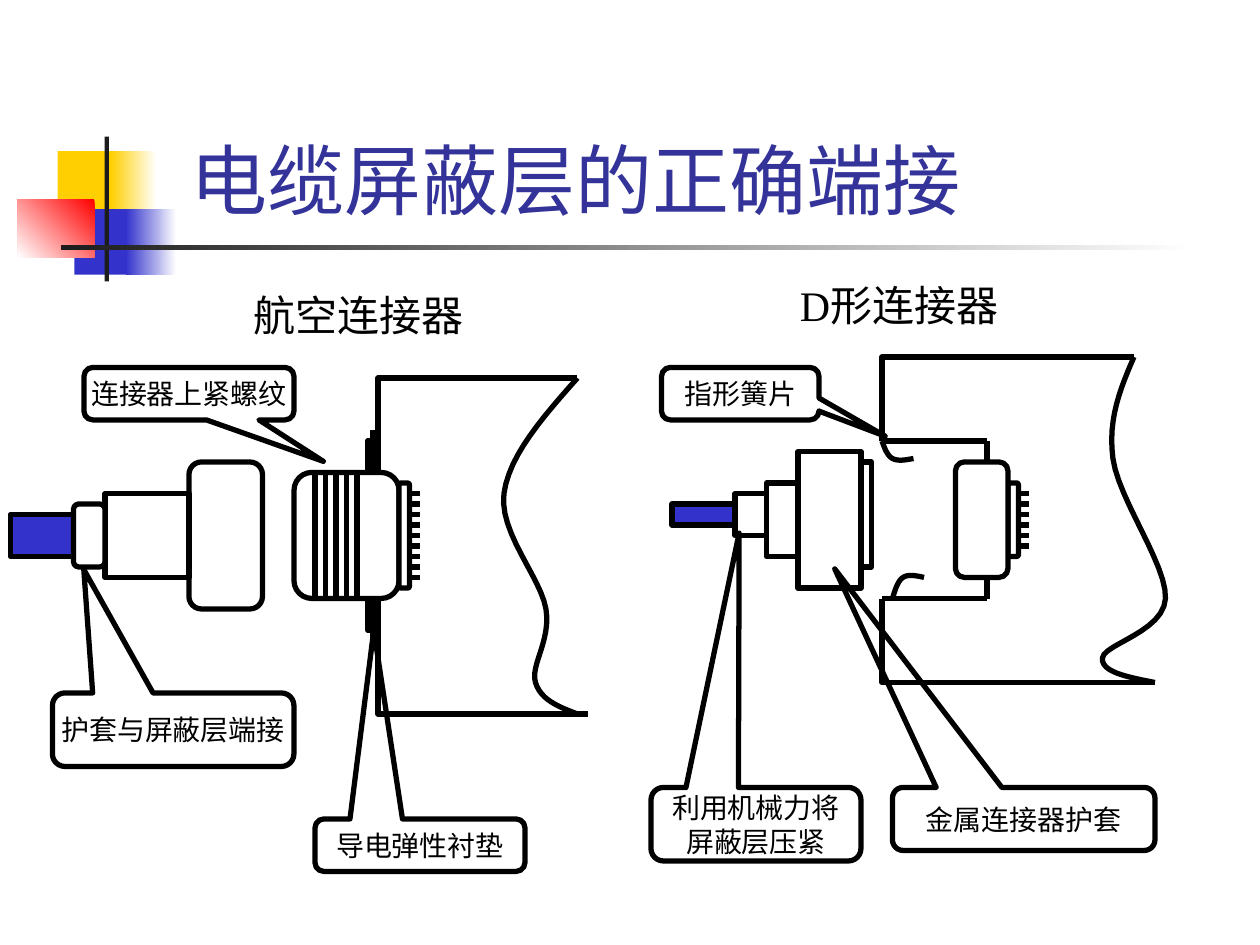
from lxml import etree
from pptx import Presentation
from pptx.dml.color import RGBColor
from pptx.enum.shapes import MSO_CONNECTOR, MSO_SHAPE
from pptx.enum.text import MSO_ANCHOR, PP_ALIGN
from pptx.oxml.ns import qn
from pptx.util import Pt

RECT = MSO_SHAPE.RECTANGLE
ROUND = MSO_SHAPE.ROUNDED_RECTANGLE
BUBBLE = MSO_SHAPE.ROUNDED_RECTANGULAR_CALLOUT
STRAIGHT = MSO_CONNECTOR.STRAIGHT
TOP, MIDDLE, BOTTOM = MSO_ANCHOR.TOP, MSO_ANCHOR.MIDDLE, MSO_ANCHOR.BOTTOM
LEFT, CENTER = PP_ALIGN.LEFT, PP_ALIGN.CENTER
BLACK, WHITE, BLUE, YELLOW, RED, DARK = (
    "000000", "FFFFFF", "3333CC", "FFCF01", "FF0000", "1C1C1C")
SERIF = {"name": "Times New Roman", "color": BLACK}
TITLE = {"name": "Cabin", "size": Pt(44), "color": "333399"}
LABEL = {**SERIF, "size": Pt(24)}
NOTE = {**SERIF, "size": Pt(16)}
STEP = 6


def paint(color):
    """Turn a hex string into a colour."""
    return RGBColor.from_string(color)


def shift(base, spot):
    """Move a point by the corner of its region."""
    return base[0] + spot[0], base[1] + spot[1]


def ink(shape, fill=None, line=BLACK):
    """Set the fill and the line of a shape; a fill may be (start, end, angle)."""
    shape.shadow.inherit = False
    if isinstance(fill, tuple):
        shape.fill.gradient()
        shape.fill.gradient_angle = fill[2]
        for stop, color in zip(shape.fill.gradient_stops, fill):
            stop.color.rgb = paint(color)
    elif fill:
        shape.fill.solid()
        shape.fill.fore_color.rgb = paint(fill)
    else:
        shape.fill.background()
    if line:
        shape.line.color.rgb = paint(line)
        shape.line.width = Pt(3)
    else:
        shape.line.fill.background()


def part(slide, base, box, fill=None, kind=RECT, line=BLACK):
    """Add a preset shape at a box relative to its region."""
    x, y = shift(base, box)
    shape = slide.shapes.add_shape(kind, *map(Pt, (x, y, box[2], box[3])))
    ink(shape, fill, line)
    if kind == ROUND:
        shape.adjustments[0] = 0.17
    return shape


def wire(slide, base, start, end, head=None, tail=None):
    """Add a straight line, joined to a (shape, site) pair where given."""
    spots = (*shift(base, start), *shift(base, end))
    line = slide.shapes.add_connector(STRAIGHT, *map(Pt, spots))
    line.line.color.rgb = paint(BLACK)
    line.line.width = Pt(3)
    etree.SubElement(line._element.spPr, qn("a:effectLst"))
    if head:
        line.begin_connect(*head)
    if tail:
        line.end_connect(*tail)


def trace(slide, base, spots):
    """Add an open outline through points."""
    spots = [tuple(map(Pt, shift(base, spot))) for spot in spots]
    pen = slide.shapes.build_freeform(*spots[0], scale=1.0)
    pen.add_line_segments(spots[1:], close=False)
    ink(pen.convert_to_shape())


def mean(a, b):
    """Give the point halfway between two points."""
    return (a[0] + b[0]) / 2, (a[1] + b[1]) / 2


def curve(slide, base, knots, count=12):
    """Add a smooth outline through knots, each bent along its neighbours."""
    bend = [((b[0] - a[0]) / 6, (b[1] - a[1]) / 6) for a, b in zip(knots, knots[2:])]
    before = [(k[0] - t[0], k[1] - t[1]) for k, t in zip(knots[1:], bend)]
    after = [shift(k, t) for k, t in zip(knots[1:], bend)]
    after.insert(0, mean(knots[0], before[0]))
    before.append(mean(after[-1], knots[-1]))
    spots = [knots[0]]
    for a, b, c, d in zip(knots, after, before, knots[1:]):
        for i in range(1, count + 1):
            t = i / count
            u = 1 - t
            spots.append(tuple(
                u**3 * p + 3 * u * u * t * q + 3 * u * t * t * r + t**3 * s
                for p, q, r, s in zip(a, b, c, d)))
    trace(slide, base, spots)


def write(shape, lines, style, align=LEFT, anchor=TOP, wrap=True):
    """Put lines of text in a shape."""
    frame = shape.text_frame
    frame.word_wrap = wrap
    frame.vertical_anchor = anchor
    frame.text = "\n".join(lines)
    for para in frame.paragraphs:
        para.alignment = align
        for key, value in style.items():
            if key == "color":
                para.font.color.rgb = paint(value)
            else:
                setattr(para.font, key, value)


def label(slide, base, box, text, style, anchor=TOP):
    """Add a line of plain text."""
    x, y = shift(base, box)
    frame = slide.shapes.add_textbox(*map(Pt, (x, y, box[2], box[3])))
    write(frame, [text], style, anchor=anchor)


def note(slide, base, box, tip, lines, fill=None):
    """Add a callout whose tail is set as a share of its size."""
    shape = part(slide, base, box, fill, BUBBLE)
    for i, value in enumerate((*tip, 0.17)):
        shape.adjustments[i] = value
    write(shape, lines, NOTE, CENTER, MIDDLE, False)


def pins(slide, base, plate, count):
    """Add a row of pins on the right of a plate."""
    x, y, wide, tall = plate
    shape = part(slide, base, plate, WHITE, ROUND)
    for i in range(1, count + 1):
        level = y + i * STEP
        head = (shape, 3) if level == y + tall / 2 else None
        wire(slide, base, (x + wide, level), (x + wide + STEP, level), head)


def case(slide, base, gap, knots, foot):
    """Add a cut-away housing with a gap in its wall (x, top, bottom)."""
    x, top, low = gap
    trace(slide, base, [(x, top), (x, knots[0][1]), knots[0]])
    trace(slide, base, [(x, low), (x, knots[-1][1]), (foot, knots[-1][1])])
    curve(slide, base, knots)


def banner(slide, base):
    """Add the coloured squares, the rules and the title."""
    for box, fill in (
        ((23, 8.4, 34.6, 37.4), YELLOW),
        ((53.4, 8.4, 25.9, 37.4), (WHITE, YELLOW, 180)),
        ((32.5, 41.5, 33.1, 37.4), BLUE),
        ((62, 41.5, 28.8, 37.4), (WHITE, BLUE, 180)),
        ((0, 35.8, 43.9, 33.1), (RED, WHITE, 225)),
        ((49.8, 0, 2.4, 82.8), DARK),
        ((24.6, 62.2, 648, 2.4), (WHITE, DARK, 180)),
    ):
        part(slide, base, box, fill, line=None)
    label(slide, base, (92, -36, 612, 90), "电缆屏蔽层的正确端接", TITLE, BOTTOM)


def round_plug(slide, base):
    """Draw the aviation connector with its labels."""
    body = part(slide, base, (168, 114, 60, 72), WHITE, ROUND)
    upper = part(slide, base, (210, 96, 6, 18), BLUE)
    lower = part(slide, base, (210, 186, 6, 18), BLUE)
    wire(slide, base, (213, 90), (213, 114), tail=(upper, 2))
    wire(slide, base, (213, 186), (213, 210), head=(lower, 0))
    pins(slide, base, (228, 120, 6, 60), 9)
    part(slide, base, (108, 108, 42, 84), kind=ROUND)
    part(slide, base, (60, 126, 48, 48))
    part(slide, base, (6, 138, 54, 24), BLUE)
    part(slide, base, (42, 132, 18, 36), WHITE, ROUND)
    for x in range(180, 205, STEP):
        ends = ((body, 0), (body, 2)) if x == 198 else ()
        wire(slide, base, (x, 114), (x, 186), *ends)
    note(slide, base, (30, 240, 138, 42), (-0.37, -2.18), ["护套与屏蔽层端接"])
    note(slide, base, (180, 312, 120, 30), (-0.22, -4.1), ["导电弹性衬垫"])
    note(slide, base, (48, 54, 120, 30), (0.64, 1.29), ["连接器上紧螺纹"])
    knots = [(330, 60), (288, 126), (312, 192), (306, 234), (330, 252)]
    case(slide, base, (216, 114, 186), knots, 336)
    label(slide, base, (138, 6, 144, 36), "航空连接器", LABEL)


def flat_plug(slide, base):
    """Draw the D-shaped connector with its labels."""
    part(slide, base, (66, 120, 18, 42))
    part(slide, base, (12, 132, 42, 12), BLUE)
    part(slide, base, (84, 102, 36, 78))
    for y in (96, 186):
        wire(slide, base, (132, y), (192, y))
    wire(slide, base, (192, 96), (192, 186))
    part(slide, base, (120, 108, 6, 60), WHITE)
    curve(slide, base, [(132, 96), (138, 106), (150, 106)])
    curve(slide, base, [(138, 186), (144, 174), (156, 174)])
    part(slide, base, (48, 126, 18, 24), WHITE)
    note(slide, base, (0, 294, 120, 42), (-0.08, -3.96), ["利用机械力将", "屏蔽层压紧"], WHITE)
    note(slide, base, (138, 294, 150, 36), (-0.72, -3.97), ["金属连接器护套"], WHITE)
    note(slide, base, (6, 54, 90, 30), (0.92, 0.81), ["指形簧片"], WHITE)
    pins(slide, base, (204, 120, 6, 42), 6)
    part(slide, base, (174, 108, 30, 66), WHITE, ROUND)
    knots = [(276, 48), (264, 106), (294, 186), (258, 220), (288, 234)]
    case(slide, base, (132, 96, 186), knots, 288)
    label(slide, base, (78, 0, 144, 36), "D形连接器", LABEL)


def main():
    """Build the slide and save it."""
    deck = Presentation()
    deck.slide_width, deck.slide_height = Pt(720), Pt(540)
    slide = deck.slides.add_slide(deck.slide_layouts[6])
    banner(slide, (10, 78))
    round_plug(slide, (0, 156))
    flat_plug(slide, (372, 156))
    deck.save("out.pptx")


if __name__ == "__main__":
    main()
